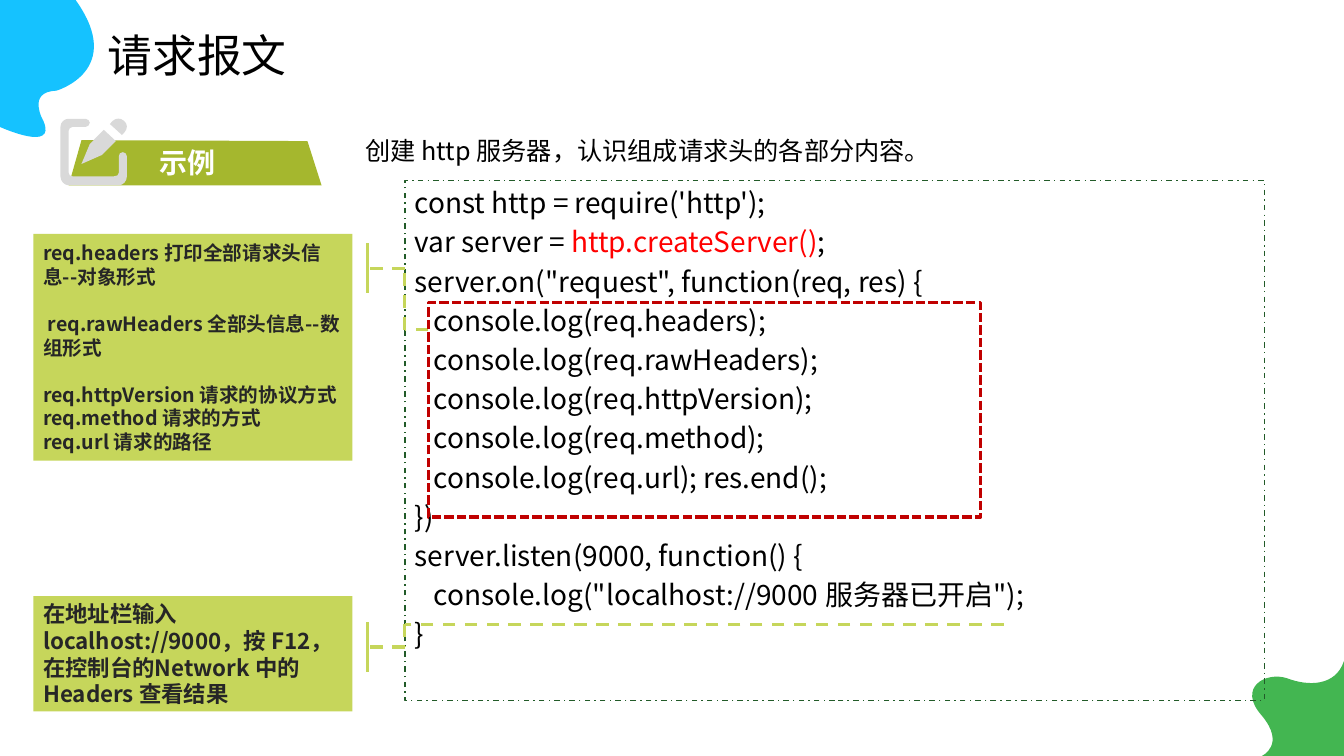
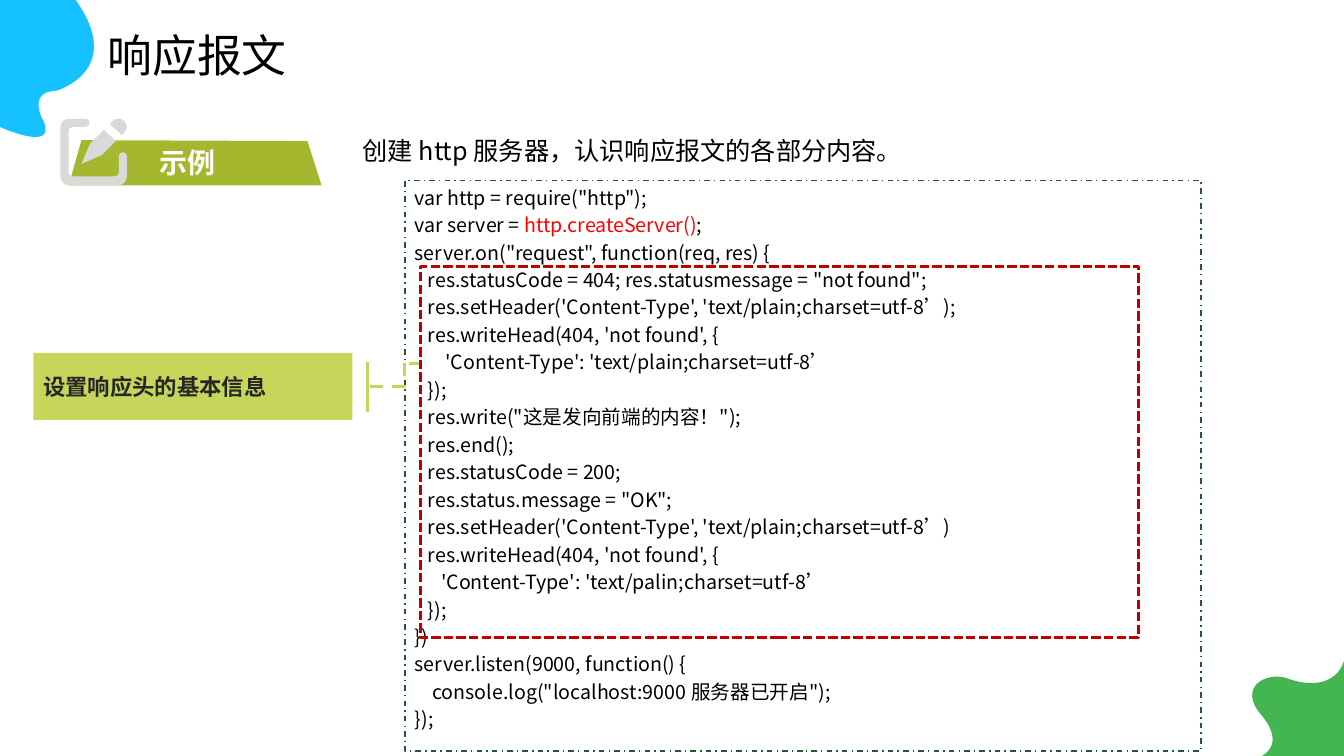
import itertools

import pptx
import pptx.util
import pptx.dml.color
import pptx.enum.dml
import pptx.enum.shapes
import pptx.enum.text
import pptx.oxml.ns
import lxml.etree

Pt = pptx.util.Pt
RGB = pptx.dml.color.RGBColor
DASH = pptx.enum.dml.MSO_LINE
RECT = pptx.enum.shapes.MSO_SHAPE.RECTANGLE
ANCHOR = pptx.enum.text.MSO_ANCHOR
LEFT = pptx.enum.text.PP_ALIGN.LEFT
qn = pptx.oxml.ns.qn

FONT = "Noto Sans CJK SC"
BLACK = RGB(0x00, 0x00, 0x00)
WHITE = RGB(0xFF, 0xFF, 0xFF)
INK = RGB(0x26, 0x26, 0x26)
BLUE = RGB(0x15, 0xC2, 0xFF)
GREEN = RGB(0x43, 0xB6, 0x51)
LIME = RGB(0xC6, 0xD6, 0x5B)
OLIVE = RGB(0xA5, 0xB7, 0x2E)
GREY = RGB(0xD9, 0xD9, 0xD9)
FRAME = RGB(0x22, 0x5B, 0x29)
FOCUS = RGB(0xC0, 0x00, 0x00)
RED = RGB(0xFF, 0x00, 0x00)

CALL = "http.createServer()"
CODE_X, CODE_Y = 289.2, 129
NOTE_X, NOTE_W = 23.8, 228
BAR_X, BAR_HALF = 262.6, 17.8

BLUE_BLOB = [[(0, 90.7), (0, 90.7, 41, 109.4, 31, 86.4),
              (31, 86.4, 18.7, 65.5, 40.3, 64.8),
              (40.3, 64.8, 90, 50.4, 54, 0), (0, 0)]]
GREEN_BLOB = [[(18, 67.7), (18, 67.7, 35.3, 59.8, 18, 38.9),
               (0, 18.7, 20.9, 7.2, 36, 12.2),
               (51.1, 18, 70.6, 18, 76.6, 0), (76.6, 67.7)]]
BANNER = [[(15, 15.9), (176.4, 16.6), (186.5, 48.3), (5.8, 48.3)]]
PENCIL = [
    [(45.4, 10.8), (44, 12.3), (35.3, 4.4), (37.4, 2.2),
     (39.6, 0, 43.2, 0, 45.4, 2.2), (48.2, 4.3, 48.2, 8, 45.4, 10.8)],
    [(39.6, 16.6), (29.5, 26.6), (15, 33), (21, 18.7), (31, 8.6)],
    [(18, 6.5), (8.6, 6.5), (7.2, 6.5, 5.8, 8, 5.8, 9.4), (5.8, 39),
     (5.8, 41, 7.2, 41.8, 8.6, 41.8), (38.2, 41.8),
     (40.3, 41.8, 41.8, 41, 41.8, 39), (41.8, 27.4),
     (41.8, 26, 42.5, 24.5, 44.6, 24.5), (46, 24.5, 47.5, 26, 47.5, 27.4),
     (47.5, 41.8), (47.5, 45.4, 44.6, 48.2, 41.8, 48.2), (5.8, 48.2),
     (3, 48.2, 0, 45.4, 0, 41.8), (0, 6.5), (0, 3, 3, 0.7, 5.8, 0.7),
     (18, 0.7), (19.4, 0.7, 21, 2.2, 21, 3.6), (21, 5, 19.4, 6.5, 18, 6.5)],
]

REQUEST_CODE = """const http = require('http');
var server = http.createServer();
server.on("request", function(req, res) {
   console.log(req.headers);
   console.log(req.rawHeaders);
   console.log(req.httpVersion);
   console.log(req.method);
   console.log(req.url); res.end();
})
server.listen(9000, function() {
   console.log("localhost://9000 服务器已开启");
}"""

RESPONSE_CODE = """var http = require("http");
var server = http.createServer();
server.on("request", function(req, res) {
   res.statusCode = 404; res.statusmessage = "not found";
   res.setHeader('Content-Type', 'text/plain;charset=utf-8’);
   res.writeHead(404, 'not found', {
       'Content-Type': 'text/plain;charset=utf-8’
   });
   res.write("这是发向前端的内容！");
   res.end();
   res.statusCode = 200;
   res.status.message = "OK";
   res.setHeader('Content-Type', 'text/plain;charset=utf-8’)
   res.writeHead(404, 'not found', {
      'Content-Type': 'text/palin;charset=utf-8’
   });
})
server.listen(9000, function() {
    console.log("localhost:9000 服务器已开启");
});"""


def add_run(p, text, size, color, bold=False):
    r = p.add_run()
    r.text = text
    r.font.size = Pt(size)
    r.font.name = FONT
    r.font.bold = bold
    r.font.color.rgb = color
    ea = lxml.etree.SubElement(r.font._element, qn("a:ea"))
    ea.set("typeface", FONT)


def add_paragraph(tf, first):
    p = tf.paragraphs[0] if first else tf.add_paragraph()
    p.alignment = LEFT
    return p


def add_text(slide, box, text, size, color=BLACK, bold=False, wrap=True):
    sp = slide.shapes.add_textbox(*map(Pt, box))
    tf = sp.text_frame
    tf.word_wrap = wrap
    add_run(add_paragraph(tf, True), text, size, color, bold)


def bend_curves(sp, contours):
    lines = iter(list(sp._element.iter(qn("a:lnTo"))))
    for seg in itertools.chain.from_iterable(c[1:] for c in contours):
        group = list(itertools.islice(lines, len(seg) // 2))
        if len(group) == 3:
            curve = lxml.etree.Element(qn("a:cubicBezTo"))
            group[0].addprevious(curve)
            for line in group:
                curve.append(line[0])
                line.getparent().remove(line)


def add_outline(slide, x, y, contours, color):
    builder = None
    for contour in contours:
        points = [(Pt(seg[i]), Pt(seg[i + 1]))
                  for seg in contour for i in range(0, len(seg), 2)]
        if builder is None:
            builder = slide.shapes.build_freeform(*points[0], scale=1.0)
        else:
            builder.move_to(*points[0])
        builder.add_line_segments(points[1:], close=True)
    sp = builder.convert_to_shape(Pt(x), Pt(y))
    bend_curves(sp, contours)
    sp.shadow.inherit = False
    sp.fill.solid()
    sp.fill.fore_color.rgb = color
    sp.line.fill.background()


def add_rect(slide, box, fill=None, line=None, width=1, dash=None):
    sp = slide.shapes.add_shape(RECT, *map(Pt, box))
    sp.shadow.inherit = False
    if fill is None:
        sp.fill.background()
    else:
        sp.fill.solid()
        sp.fill.fore_color.rgb = fill
    if line is None:
        sp.line.fill.background()
    else:
        sp.line.color.rgb = line
        sp.line.width = Pt(width)
        sp.line.dash_style = dash
    return sp


def add_line(slide, start, end, dash=None):
    cx = slide.shapes.add_connector(
        pptx.enum.shapes.MSO_CONNECTOR.STRAIGHT, *map(Pt, start + end))
    cx.line.color.rgb = LIME
    cx.line.width = Pt(2.25)
    if dash is not None:
        cx.line.dash_style = dash
    lxml.etree.SubElement(cx._element.spPr, qn("a:effectLst"))


def add_base(prs, title):
    slide = prs.slides.add_slide(prs.slide_layouts[6])
    add_outline(slide, 0, 0, BLUE_BLOB, BLUE)
    add_outline(slide, 883.4, 472.3, GREEN_BLOB, GREEN)
    add_text(slide, (69.7, 16.5, 142.4, 46), title, 32, wrap=False)
    return slide


def add_code(slide, box, code, size):
    x, y, w, h = box
    sp = slide.shapes.add_textbox(Pt(x), Pt(y), Pt(615.5), Pt(h))
    tf = sp.text_frame
    tf.word_wrap = True
    for i, line in enumerate(code.split("\n")):
        p = add_paragraph(tf, i == 0)
        if i:
            p.space_before = Pt(0.2 * size)
        before, call, after = line.partition(CALL)
        for text, color in ((before, BLACK), (call, RED), (after, BLACK)):
            if text:
                add_run(p, text, size, color)
    add_rect(slide, box, line=FRAME, dash=DASH.DASH_DOT)


def add_callout(slide, top, height, groups, size, stem_y, target):
    sp = add_rect(slide, (NOTE_X, top, NOTE_W, height), fill=LIME)
    tf = sp.text_frame
    tf.word_wrap = True
    tf.vertical_anchor = ANCHOR.MIDDLE
    for g, group in enumerate(groups):
        for i, text in enumerate(group):
            p = add_paragraph(tf, g == i == 0)
            if g and i == 0:
                p.space_before = Pt(1.2 * size)
            add_run(p, text, size, INK, True)
    tx, ty = target
    route = [target, (CODE_X, ty), (CODE_X, stem_y), (BAR_X, stem_y)]
    for start, end in zip(route, route[1:]):
        add_line(slide, start, end, DASH.DASH)
    add_line(slide, (BAR_X, stem_y - BAR_HALF), (BAR_X, stem_y + BAR_HALF))


def add_focus(slide, box):
    add_rect(slide, box, line=FOCUS, width=2.25, dash=DASH.SQUARE_DOT)


def add_heading(slide, x, y, text):
    add_text(slide, (x, y, 558, 29), text, 18)
    bx, by = 43.2, 84.2
    add_outline(slide, bx, by, BANNER, OLIVE)
    add_text(slide, (bx + 64, by + 16.2, 54.7, 31.5), "示例", 20, WHITE, True, wrap=False)
    add_outline(slide, bx, by, PENCIL, GREY)


def add_request_slide(prs):
    slide = add_base(prs, "请求报文")
    add_code(slide, (CODE_X, CODE_Y, 614, 371.3), REQUEST_CODE, 20)
    add_callout(slide, 167, 162, [
        ["req.headers 打印全部请求头信息--对象形式"],
        [" req.rawHeaders 全部头信息--数组形式"],
        ["req.httpVersion 请求的协议方式req.method 请求的方式", "req.url 请求的路径"],
    ], 14, 191.7, (306, 235.5))
    add_callout(slide, 425.8, 82.3, [
        ["在地址栏输入 localhost://9000，按 F12，在控制台的Network 中的 Headers 查看结果"],
    ], 16, 462.2, (717, 445.9))
    add_focus(slide, (306, 216, 394.5, 153.3))
    add_heading(slide, 254, 93, "创建 http 服务器，认识组成请求头的各部分内容。")


def add_response_slide(prs):
    slide = add_base(prs, "响应报文")
    add_code(slide, (CODE_X, CODE_Y, 568.8, 407.5), RESPONSE_CODE, 14)
    add_callout(slide, 252, 48, [["设置响应头的基本信息"]], 16, 276.3, (301, 259.6))
    add_focus(slide, (300.4, 190.3, 512.7, 265))
    add_heading(slide, 252, 93, "创建 http 服务器，认识响应报文的各部分内容。")


def main():
    prs = pptx.Presentation()
    prs.slide_width = Pt(960)
    prs.slide_height = Pt(540)
    add_request_slide(prs)
    add_response_slide(prs)
    prs.save("out.pptx")


if __name__ == "__main__":
    main()
